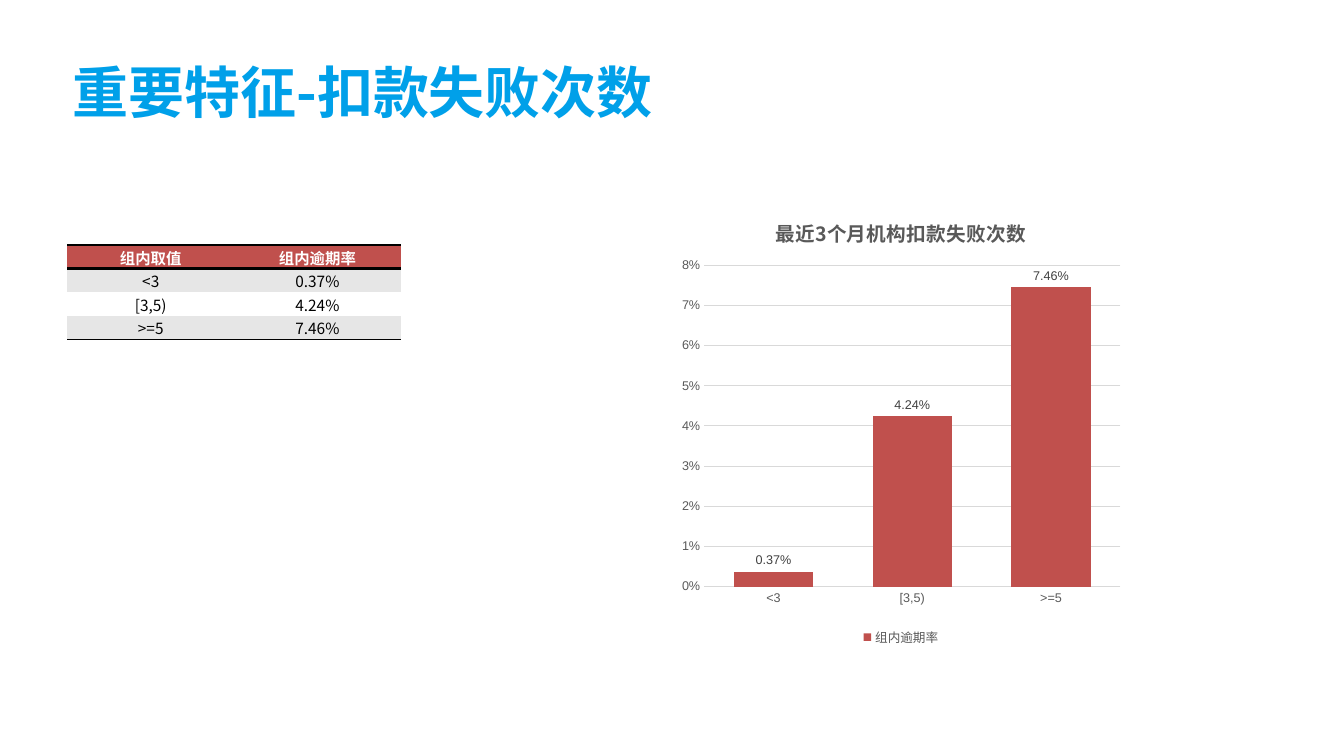
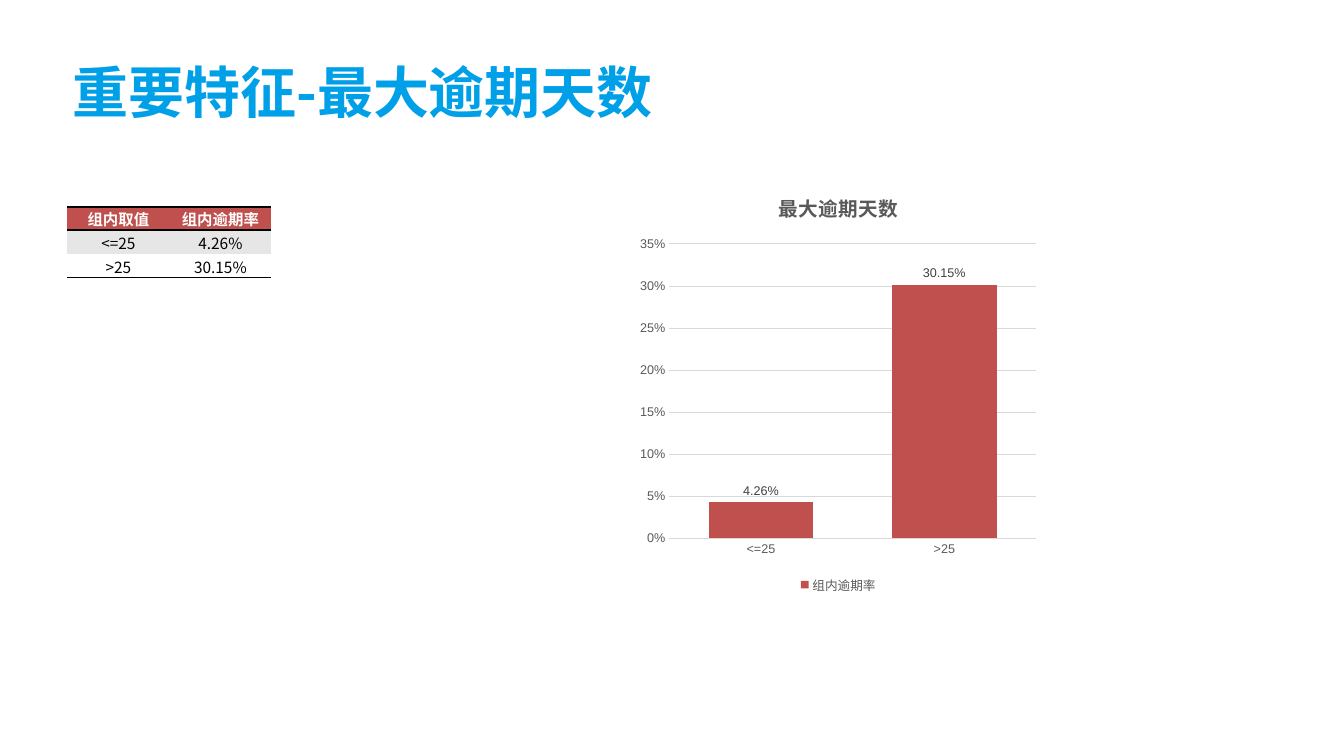
"""Build two slides that each pair a feature table with a column chart."""

import dataclasses

import lxml.etree
import pptx
import pptx.chart.axis
import pptx.chart.chart
import pptx.chart.data
import pptx.dml.color
import pptx.enum.chart
import pptx.enum.text
import pptx.oxml.ns
import pptx.presentation
import pptx.slide
import pptx.table
import pptx.text.text
import pptx.util

HEADING_FONT = "Noto Sans CJK SC"
CHART_FONT = "Arial"
BLUE = "00A0E9"
RED = "C0504D"
BLACK = "000000"
WHITE = "FFFFFF"
BAND = "E6E6E6"
GRID = "D9D9D9"
AXIS_TEXT = "595959"
LABEL_TEXT = "404040"
PLAIN_TABLE_STYLE = "{2D5ABB26-0587-4C30-8999-92F81FD0307C}"
VALUE_HEADER = "组内取值"
RATE_HEADER = "组内逾期率"
ROW_HEIGHT = 0.53


@dataclasses.dataclass(frozen=True)
class Frame:
    """Hold a position and size, in centimetres or as chart fractions."""

    left: float
    top: float
    width: float
    height: float


@dataclasses.dataclass(frozen=True)
class Feature:
    """Describe the contents and layout of one feature slide."""

    title: str
    chart_title: str
    rates: dict[str, float]
    table_top: float
    column_width: float
    header_rule: float
    closing_rule: float
    chart: Frame
    plot: Frame
    axis_maximum: float
    axis_step: float


TITLE_FRAME = Frame(1.7, 1, 30.48, 2.6)
FEATURES = (
    Feature(
        title="重要特征-扣款失败次数",
        chart_title="最近3个月机构扣款失败次数",
        rates={"<3": 0.0037, "[3,5)": 0.0424, ">=5": 0.0746},
        table_top=6.17,
        column_width=4.2,
        header_rule=2,
        closing_rule=1,
        chart=Frame(16.94, 4.98, 11.53, 11.4),
        plot=Frame(0.07, 0.15, 0.91, 0.71),
        axis_maximum=0.08,
        axis_step=0.01,
    ),
    Feature(
        title="重要特征-最大逾期天数",
        chart_title="最大逾期天数",
        rates={"<=25": 0.0426, ">25": 0.3015},
        table_top=5.21,
        column_width=2.57,
        header_rule=1.5,
        closing_rule=1.5,
        chart=Frame(15.93, 4.39, 10.39, 10.67),
        plot=Frame(0.09, 0.165, 0.89, 0.695),
        axis_maximum=0.35,
        axis_step=0.05,
    ),
)


def color(value: str) -> pptx.dml.color.RGBColor:
    """Turn a hex string into a colour."""
    return pptx.dml.color.RGBColor.from_string(value)


def lengths(frame: Frame) -> tuple[pptx.util.Length, ...]:
    """Turn a frame in centimetres into lengths."""
    return tuple(pptx.util.Cm(part) for part in dataclasses.astuple(frame))


def style_font(font: pptx.text.text.Font, *, size: float, fill: str,
               name: str = CHART_FONT, bold: bool = False) -> None:
    """Apply size, colour, typeface and weight to a font."""
    font.size = pptx.util.Pt(size)
    font.bold = bold
    font.name = name
    font.color.rgb = color(fill)


def write_text(box: pptx.text.text.TextFrame, text: str, *, size: float,
               fill: str, bold: bool = False,
               align: pptx.enum.text.PP_ALIGN = pptx.enum.text.PP_ALIGN.LEFT) -> None:
    """Write one formatted paragraph in the heading font."""
    para = box.paragraphs[0]
    para.alignment = align
    span = para.add_run()
    span.text = text
    style_font(span.font, size=size, fill=fill, name=HEADING_FONT, bold=bold)
    east_asian = lxml.etree.SubElement(span._r.get_or_add_rPr(), pptx.oxml.ns.qn("a:ea"))
    east_asian.set("typeface", HEADING_FONT)


def add_title(page: pptx.slide.Slide, text: str) -> None:
    """Place and fill the title placeholder."""
    title = page.shapes.title
    title.left, title.top, title.width, title.height = lengths(TITLE_FRAME)
    box = title.text_frame
    box.margin_left = box.margin_right = pptx.util.Cm(0.13)
    box.margin_top = box.margin_bottom = pptx.util.Cm(0.13)
    box.vertical_anchor = pptx.enum.text.MSO_ANCHOR.MIDDLE
    write_text(box, text, size=40, fill=BLUE, bold=True)


def add_rule(cell: pptx.table._Cell, side: str, width: float) -> None:
    """Draw a black border on one side of a cell."""
    rule = lxml.etree.SubElement(
        cell._tc.get_or_add_tcPr(), pptx.oxml.ns.qn(f"a:{side}"))
    rule.set("w", str(pptx.util.Pt(width)))
    fill = lxml.etree.SubElement(rule, pptx.oxml.ns.qn("a:solidFill"))
    lxml.etree.SubElement(fill, pptx.oxml.ns.qn("a:srgbClr")).set("val", BLACK)


def fill_cell(cell: pptx.table._Cell, text: str, *, background: str,
              rules: dict[str, float], fill: str, bold: bool) -> None:
    """Format a table cell and write its text."""
    for side, width in rules.items():
        add_rule(cell, side, width)
    cell.fill.solid()
    cell.fill.fore_color.rgb = color(background)
    cell.margin_left = cell.margin_right = cell.margin_top = pptx.util.Cm(0.03)
    cell.margin_bottom = 0
    cell.vertical_anchor = pptx.enum.text.MSO_ANCHOR.MIDDLE
    write_text(cell.text_frame, text, size=11, fill=fill, bold=bold,
               align=pptx.enum.text.PP_ALIGN.CENTER)


def add_rate_table(page: pptx.slide.Slide, feature: Feature) -> None:
    """Add the table of groups and their overdue rates."""
    rows = [(VALUE_HEADER, RATE_HEADER)]
    rows += [(group, f"{rate:.2%}") for group, rate in feature.rates.items()]
    frame = Frame(TITLE_FRAME.left, feature.table_top,
                  2 * feature.column_width, ROW_HEIGHT * len(rows))
    table = page.shapes.add_table(len(rows), 2, *lengths(frame)).table
    table.first_row = table.horz_banding = False
    table._tbl.tblPr.find(pptx.oxml.ns.qn("a:tableStyleId")).text = PLAIN_TABLE_STYLE
    for index, row in enumerate(rows):
        header = index == 0
        rules = {}
        if header:
            rules = {"lnT": feature.header_rule, "lnB": feature.header_rule}
        elif index == len(rows) - 1:
            rules = {"lnB": feature.closing_rule}
        background = RED if header else BAND if index % 2 else WHITE
        for column, text in enumerate(row):
            fill_cell(table.cell(index, column), text, background=background,
                      rules=rules, fill=WHITE if header else BLACK, bold=header)


def place_plot(chart: pptx.chart.chart.Chart, plot: Frame) -> None:
    """Fix the inner plot area as fractions of the chart."""
    area = chart._chartSpace.chart.plotArea
    for old in area.findall(pptx.oxml.ns.qn("c:layout")):
        area.remove(old)
    layout = lxml.etree.Element(pptx.oxml.ns.qn("c:layout"))
    manual = lxml.etree.SubElement(layout, pptx.oxml.ns.qn("c:manualLayout"))
    settings = {"layoutTarget": "inner", "xMode": "edge", "yMode": "edge",
                "x": plot.left, "y": plot.top, "w": plot.width, "h": plot.height}
    for name, value in settings.items():
        lxml.etree.SubElement(manual, pptx.oxml.ns.qn(f"c:{name}")).set("val", str(value))
    area.insert(0, layout)


def style_axis(axis: pptx.chart.axis._BaseAxis) -> None:
    """Give an axis its label font and remove its tick marks."""
    axis.major_tick_mark = pptx.enum.chart.XL_TICK_MARK.NONE
    axis.minor_tick_mark = pptx.enum.chart.XL_TICK_MARK.NONE
    style_font(axis.tick_labels.font, size=9, fill=AXIS_TEXT)


def add_rate_chart(page: pptx.slide.Slide, feature: Feature) -> None:
    """Add the column chart of overdue rates."""
    chart_data = pptx.chart.data.CategoryChartData(number_format="0.00%")
    chart_data.categories = list(feature.rates)
    chart_data.add_series(RATE_HEADER, list(feature.rates.values()))
    chart = page.shapes.add_chart(
        pptx.enum.chart.XL_CHART_TYPE.COLUMN_CLUSTERED,
        *lengths(feature.chart), chart_data).chart
    style_font(chart.font, size=10, fill=BLACK)
    place_plot(chart, feature.plot)
    write_text(chart.chart_title.text_frame, feature.chart_title, size=14,
               fill=AXIS_TEXT, bold=True, align=pptx.enum.text.PP_ALIGN.CENTER)

    chart.has_legend = True
    chart.legend.position = pptx.enum.chart.XL_LEGEND_POSITION.BOTTOM
    chart.legend.include_in_layout = False
    style_font(chart.legend.font, size=9, fill=AXIS_TEXT)

    style_axis(chart.category_axis)
    style_axis(chart.value_axis)
    chart.value_axis.minimum_scale = 0
    chart.value_axis.maximum_scale = feature.axis_maximum
    chart.value_axis.major_unit = feature.axis_step
    chart.value_axis.tick_labels.number_format = "0%"
    chart.value_axis.tick_labels.number_format_is_linked = False
    chart.value_axis.format.line.fill.background()
    for line in (chart.category_axis.format.line,
                 chart.value_axis.major_gridlines.format.line):
        line.color.rgb = color(GRID)
        line.width = pptx.util.Pt(0.75)

    plot = chart.plots[0]
    plot.gap_width = 75
    plot.overlap = -25
    plot.vary_by_categories = False
    series = plot.series[0]
    series.format.fill.solid()
    series.format.fill.fore_color.rgb = color(RED)
    labels = series.data_labels
    labels.show_value = True
    labels.number_format = "0.00%"
    labels.number_format_is_linked = False
    labels.position = pptx.enum.chart.XL_LABEL_POSITION.OUTSIDE_END
    style_font(labels.font, size=9, fill=LABEL_TEXT)


def add_feature_page(deck: pptx.presentation.Presentation, feature: Feature) -> None:
    """Add one slide with its title, chart and table."""
    page = deck.slides.add_slide(deck.slide_layouts.get_by_name("Title Only"))
    add_title(page, feature.title)
    add_rate_chart(page, feature)
    add_rate_table(page, feature)


def main() -> None:
    """Build and save the deck."""
    deck = pptx.Presentation()
    deck.slide_width = pptx.util.Cm(33.87)
    deck.slide_height = pptx.util.Cm(19.05)
    for feature in FEATURES:
        add_feature_page(deck, feature)
    deck.save("out.pptx")


if __name__ == "__main__":
    main()
